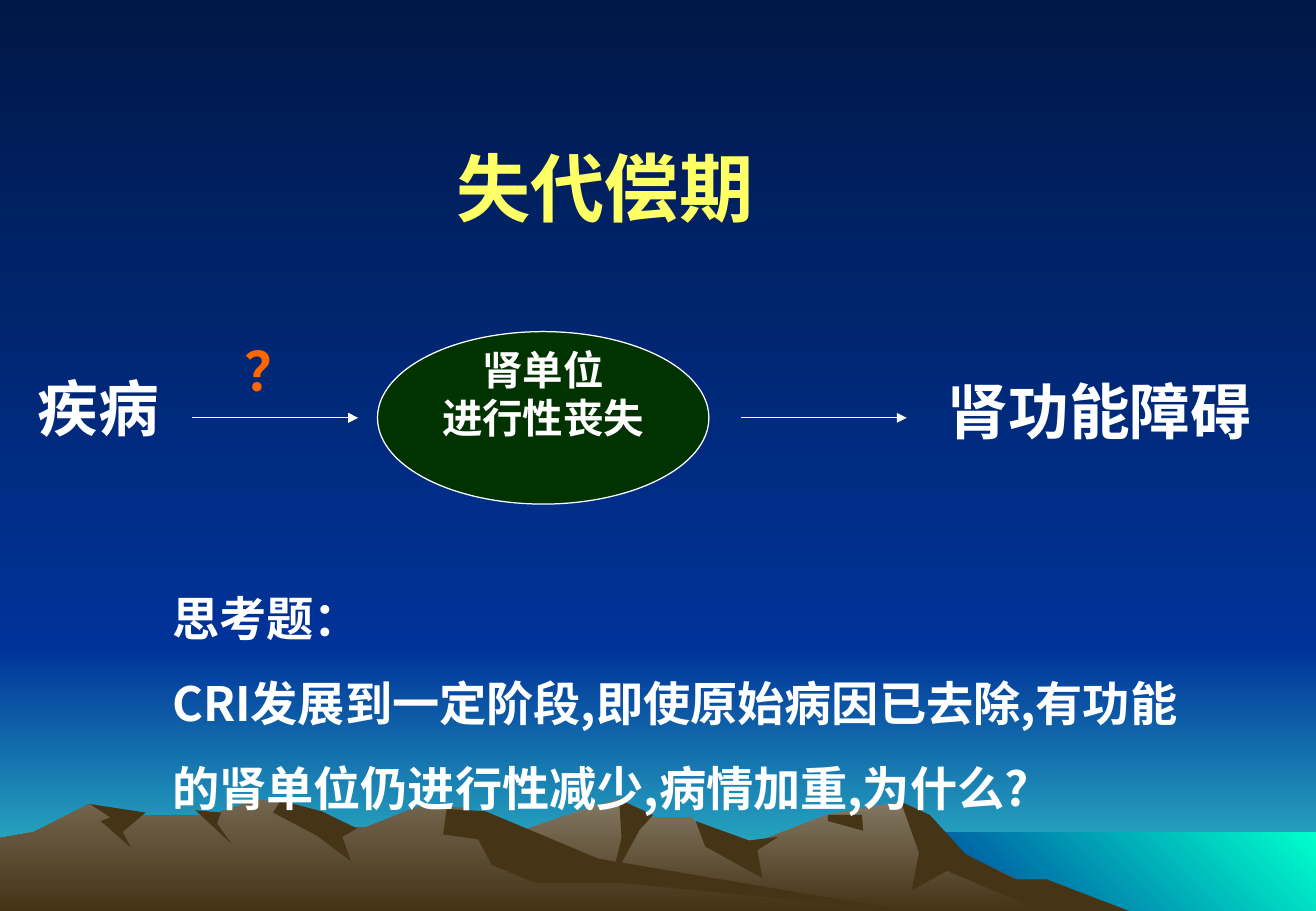
from lxml.etree import SubElement
from pptx import Presentation
from pptx.dml.color import RGBColor
from pptx.enum.lang import MSO_LANGUAGE_ID
from pptx.enum.shapes import MSO_CONNECTOR, MSO_SHAPE
from pptx.enum.text import MSO_ANCHOR, PP_ALIGN
from pptx.oxml.ns import qn
from pptx.util import Pt

PX = 9144  # EMU per px, 100 px to the inch
WIDTH, HEIGHT = 1084, 750
HORIZON = 533
SEA_LEFT, SEA_TOP = 740, 685

NIGHT = RGBColor(0x00, 0x18, 0x47)
BLUE = RGBColor(0x00, 0x33, 0x99)
TEAL = RGBColor(0x33, 0xCC, 0xCC)
AQUA = RGBColor(0x00, 0xFF, 0xCC)
ROCK = RGBColor(0x46, 0x34, 0x16)
FAR_ROCK = RGBColor(0x84, 0x78, 0x64)
NEAR_ROCK = RGBColor(0x73, 0x65, 0x4F)
GREEN = RGBColor(0x00, 0x33, 0x00)
YELLOW = RGBColor(0xFF, 0xFF, 0x66)
ORANGE = RGBColor(0xFF, 0x66, 0x00)
WHITE = RGBColor(0xFF, 0xFF, 0xFF)

DOWN, UP_RIGHT = 270, 45  # gradient directions, counterclockwise degrees

# (left, top, right, bottom), gradient colours, direction
SCENERY = [
    ((0, HORIZON, WIDTH, HEIGHT), (BLUE, TEAL), DOWN),
    ((0, 0, WIDTH, HORIZON), (NIGHT, BLUE), DOWN),
    ((SEA_LEFT, SEA_TOP, WIDTH, HEIGHT), (BLUE, AQUA), UP_RIGHT),
]

# ridge colour, skyline between two feet on the slide's lower edge, shaded slopes
MOUNTAINS = [
    (FAR_ROCK,
     [(280, HEIGHT), (354, 709), (427, 685), (488, 664), (510, 658), (526, 673),
      (570, 673), (581, 690), (614, 697), (681, 671), (742, 660), (783, 698),
      (843, 727), (889, HEIGHT)],
     [[(742, 660), (766, 671), (795, 703), (836, 724), (862, 724), (930, HEIGHT),
       (858, HEIGHT), (780, 717), (751, 733), (757, 702)],
      [(510, 658), (538, 671), (527, 683), (503, 727), (512, 690)],
      [(573, 676), (617, 692), (641, 689), (624, 700), (628, 723), (581, 697)],
      [(682, 671), (710, 671), (711, 684), (682, 676)]]),
    (NEAR_ROCK,
     [(0, HEIGHT), (0, 690), (28, 685), (73, 662), (102, 671), (173, 671),
      (213, 658), (242, 663), (255, 681), (302, 681), (344, 664), (383, 665),
      (468, 712), (748, HEIGHT)],
     [[(231, 659), (265, 668), (294, 682), (282, 689), (289, 709), (261, 688),
       (225, 669)],
      [(368, 666), (400, 668), (493, 707), (748, HEIGHT), (512, 727), (441, 727),
       (405, 712), (394, 691), (365, 687)],
      [(161, 667), (182, 669), (179, 678), (191, 695)],
      [(74, 662), (120, 669), (101, 685), (108, 698), (83, 676), (91, 673)]]),
]

FLOW_Y = 344
ARROW_LENGTH = 137
ARROW_STARTS = (158, 610)
LOSS_OVAL = (311, 273, 273, 142)
LOSS_LINES = ["肾单位", "进行性丧失"]
LOSS_FONT = {"name": "Times New Roman", "size": Pt(24)}

# place, lines, font values, paragraph values, anchor
TEXTS = [
    ((38, 91, 921, 125), ["失代偿期"],
     {"name": "Arial", "size": Pt(44), "color": YELLOW},
     {"alignment": PP_ALIGN.CENTER}, MSO_ANCHOR.MIDDLE),
    ((21, 300, 130, 70), ["疾病"],
     {"name": "Arial", "size": Pt(36)}, {}, MSO_ANCHOR.TOP),
    ((771, 303, 280, 70), ["肾功能障碍"],
     {"name": "Times New Roman", "size": Pt(36)}, {}, MSO_ANCHOR.TOP),
    ((192, 273, 70, 64), ["？"],
     {"name": "Times New Roman", "size": Pt(32), "color": ORANGE}, {}, MSO_ANCHOR.TOP),
    ((132, 469, 869, 208),
     ["思考题：",
      "CRI发展到一定阶段,即使原始病因已去除,有功能的肾单位仍进行性减少,病情加重,为什么?"],
     {"name": "Noto Sans CJK SC", "size": Pt(28)},
     {"line_spacing": 1.5}, MSO_ANCHOR.BOTTOM),
]


def emu(lengths):
    return [length * PX for length in lengths]


def paint(fill, colours, direction=DOWN):
    """Fill with one solid colour, or with a gradient between two."""
    if len(colours) == 1:
        fill.solid()
        fill.fore_color.rgb = colours[0]
        return
    fill.gradient()
    fill.gradient_angle = direction
    for stop, colour, position in zip(fill.gradient_stops, colours, (0, 1)):
        stop.color.rgb = colour
        stop.position = position


def finish_scenery(shape, colours, direction=DOWN):
    shape.shadow.inherit = False
    shape.line.fill.background()
    paint(shape.fill, colours, direction)


def add_outline(page, points, colours):
    builder = page.shapes.build_freeform(*points[0], scale=PX)
    builder.add_line_segments(points[1:], close=True)
    finish_scenery(builder.convert_to_shape(), colours)


def add_scenery(page):
    for (left, top, right, bottom), colours, direction in SCENERY:
        place = emu((left, top, right - left, bottom - top))
        band = page.shapes.add_shape(MSO_SHAPE.RECTANGLE, *place)
        finish_scenery(band, colours, direction)
    for colour, skyline, slopes in MOUNTAINS:
        add_outline(page, skyline, (colour, ROCK))
        for slope in slopes:
            add_outline(page, slope, (ROCK,))


def write(frame, lines, font_values, para_values, anchor):
    frame.vertical_anchor = anchor
    values = {"bold": True, "language_id": MSO_LANGUAGE_ID.SIMPLIFIED_CHINESE,
              "color": WHITE, **font_values}
    colour = values.pop("color")
    for index, line in enumerate(lines):
        para = frame.paragraphs[0] if index == 0 else frame.add_paragraph()
        for name, value in para_values.items():
            setattr(para, name, value)
        span = para.add_run()
        span.text = line
        for name, value in values.items():
            setattr(span.font, name, value)
        span.font.color.rgb = colour
        SubElement(span.font._element, qn("a:ea"), typeface="Noto Sans CJK SC")


def add_arrow(page, start):
    arrow = page.shapes.add_connector(
        MSO_CONNECTOR.STRAIGHT, *emu((start, FLOW_Y, start + ARROW_LENGTH, FLOW_Y)))
    arrow.line.width = Pt(0.75)
    arrow.line.color.rgb = WHITE
    properties = arrow._element.spPr
    SubElement(properties.find(qn("a:ln")), qn("a:tailEnd"), type="triangle")
    SubElement(properties, qn("a:effectLst"))


def add_loss_oval(page):
    oval = page.shapes.add_shape(MSO_SHAPE.OVAL, *emu(LOSS_OVAL))
    oval.shadow.inherit = False
    paint(oval.fill, (GREEN,))
    oval.line.color.rgb = WHITE
    oval.line.width = Pt(0.75)
    frame = oval.text_frame
    frame.word_wrap = False
    frame.margin_bottom = 45 * PX  # lifts the two lines above the middle
    write(frame, LOSS_LINES, LOSS_FONT, {"alignment": PP_ALIGN.CENTER}, MSO_ANCHOR.MIDDLE)


def main():
    deck = Presentation()
    deck.slide_width, deck.slide_height = emu((WIDTH, HEIGHT))
    page = deck.slides.add_slide(deck.slide_layouts[6])
    paint(page.background.fill, (NIGHT, BLUE))
    add_scenery(page)
    for start in ARROW_STARTS:
        add_arrow(page, start)
    add_loss_oval(page)
    for place, lines, font_values, para_values, anchor in TEXTS:
        box = page.shapes.add_textbox(*emu(place))
        box.text_frame.word_wrap = True
        write(box.text_frame, lines, font_values, para_values, anchor)
    deck.save("out.pptx")


if __name__ == "__main__":
    main()
